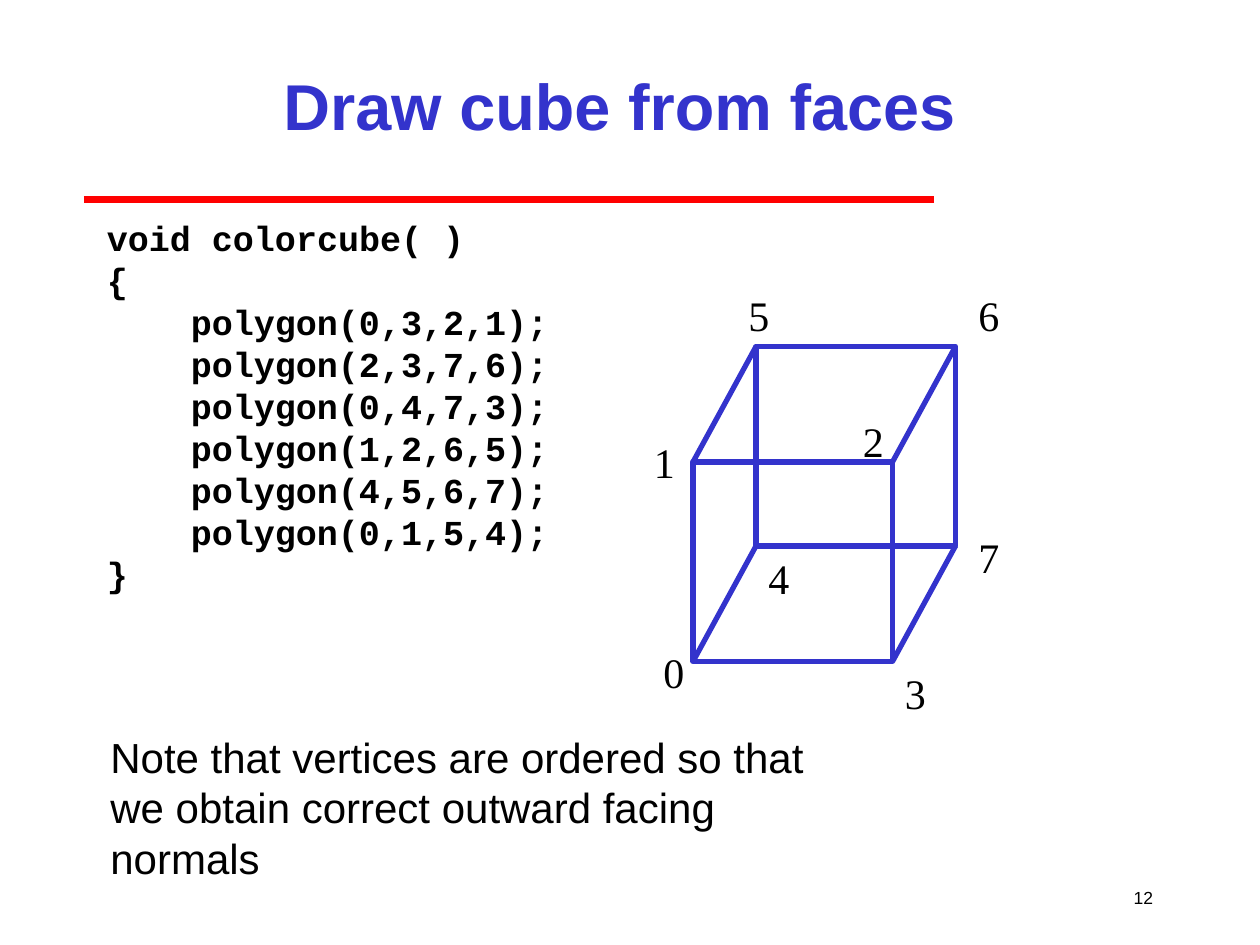
from dataclasses import dataclass

from lxml.etree import SubElement
from pptx import Presentation
from pptx.dml.color import RGBColor
from pptx.enum.shapes import MSO_CONNECTOR, MSO_SHAPE
from pptx.enum.text import MSO_ANCHOR, MSO_AUTO_SIZE, PP_ALIGN
from pptx.oxml.ns import qn
from pptx.util import Pt

BLUE = RGBColor(0x33, 0x33, 0xCC)
RED = RGBColor(0xFF, 0, 0)
BLACK = RGBColor(0, 0, 0)

CUBE_SIDE = 114
FRONT_CORNER = (396, 264)
BACK_CORNER = (432, 198)
CODE_INDENT = 48


@dataclass(frozen=True)
class VertexLabel:
    name: str
    left: float
    top: float


@dataclass(frozen=True)
class Style:
    font: str
    size: float
    color: RGBColor = BLACK
    bold: bool = False


VERTEX_LABELS = [
    VertexLabel("0", 372, 366),
    VertexLabel("5", 420.5, 162),
    VertexLabel("6", 552, 162),
    VertexLabel("2", 486, 234),
    VertexLabel("4", 432, 312),
    VertexLabel("7", 552, 300),
    VertexLabel("1", 366.5, 246),
    VertexLabel("3", 510, 378),
]
FACES = ["0,3,2,1", "2,3,7,6", "0,4,7,3", "1,2,6,5", "4,5,6,7", "0,1,5,4"]

TITLE = Style("Arial", 37, BLUE, bold=True)
CODE = Style("Courier New", 20, bold=True)
VERTEX = Style("Times New Roman", 24)
NOTE = Style("Arial", 24)
NUMBER = Style("Arial", 10)


def format_text(frame, style: Style) -> None:
    for para in frame.paragraphs:
        for span in para.runs:
            span.font.name = style.font
            span.font.size = Pt(style.size)
            span.font.bold = style.bold
            span.font.color.rgb = style.color


def add_text(page, text: str, left: float, top: float, width: float,
             height: float, style: Style, wrap: bool = False):
    box = page.shapes.add_textbox(Pt(left), Pt(top), Pt(width), Pt(height))
    frame = box.text_frame
    frame.word_wrap = wrap
    frame.text = text
    format_text(frame, style)
    return frame


def add_line(shapes, start: tuple, end: tuple, color: RGBColor, width: float) -> None:
    line = shapes.add_connector(MSO_CONNECTOR.STRAIGHT, *map(Pt, start + end))
    line.line.color.rgb = color
    line.line.width = Pt(width)
    SubElement(line._element.spPr, qn("a:effectLst"))


def add_cube(page) -> None:
    """Draw the front and back squares and join their matching corners."""
    shapes = page.shapes.add_group_shape().shapes
    for left, top in (FRONT_CORNER, BACK_CORNER):
        square = shapes.add_shape(MSO_SHAPE.RECTANGLE, Pt(left), Pt(top),
                                  Pt(CUBE_SIDE), Pt(CUBE_SIDE))
        square.shadow.inherit = False
        square.fill.background()
        square.line.color.rgb = BLUE
        square.line.width = Pt(3)
    for across in (0, CUBE_SIDE):
        for down in (0, CUBE_SIDE):
            back, front = ((left + across, top + down)
                           for left, top in (BACK_CORNER, FRONT_CORNER))
            add_line(shapes, back, front, BLUE, 3)


def add_title(page, text: str) -> None:
    title = page.shapes.title
    title.left, title.top, title.width, title.height = map(Pt, (108, 18, 492, 84))
    frame = title.text_frame
    frame.text = text
    frame.auto_size = MSO_AUTO_SIZE.NONE
    frame.vertical_anchor = MSO_ANCHOR.MIDDLE
    frame.paragraphs[0].alignment = PP_ALIGN.CENTER
    format_text(frame, TITLE)


def add_code(page) -> None:
    calls = [f"polygon({face});" for face in FACES]
    lines = ["void colorcube( )", "{", *calls, "}"]
    frame = add_text(page, "\n".join(lines), 54, 120, 612, 372, CODE, wrap=True)
    for para in frame.paragraphs:
        para.line_spacing = Pt(24)
        if para.text in calls:
            para._p.get_or_add_pPr().set("marL", str(Pt(CODE_INDENT)))


def main() -> None:
    deck = Presentation()
    deck.slide_width, deck.slide_height = Pt(720), Pt(540)
    page = deck.slides.add_slide(deck.slide_layouts[5])

    add_line(page.shapes, (48, 114), (534, 114), RED, 4)
    number = add_text(page, "12", 636, 498, 30, 30, NUMBER)
    number.vertical_anchor = MSO_ANCHOR.MIDDLE
    number.paragraphs[0].alignment = PP_ALIGN.RIGHT

    add_title(page, "Draw cube from faces")
    add_code(page)
    add_cube(page)
    for label in VERTEX_LABELS:
        add_text(page, label.name, label.left, label.top, 26, 36, VERTEX)

    note = add_text(page, "Note that vertices are ordered so that\n"
                    "we obtain correct outward facing normals",
                    56, 414, 451.5, 65, NOTE)
    for para in note.paragraphs:
        para.line_spacing = Pt(29)

    deck.save("out.pptx")


if __name__ == "__main__":
    main()
